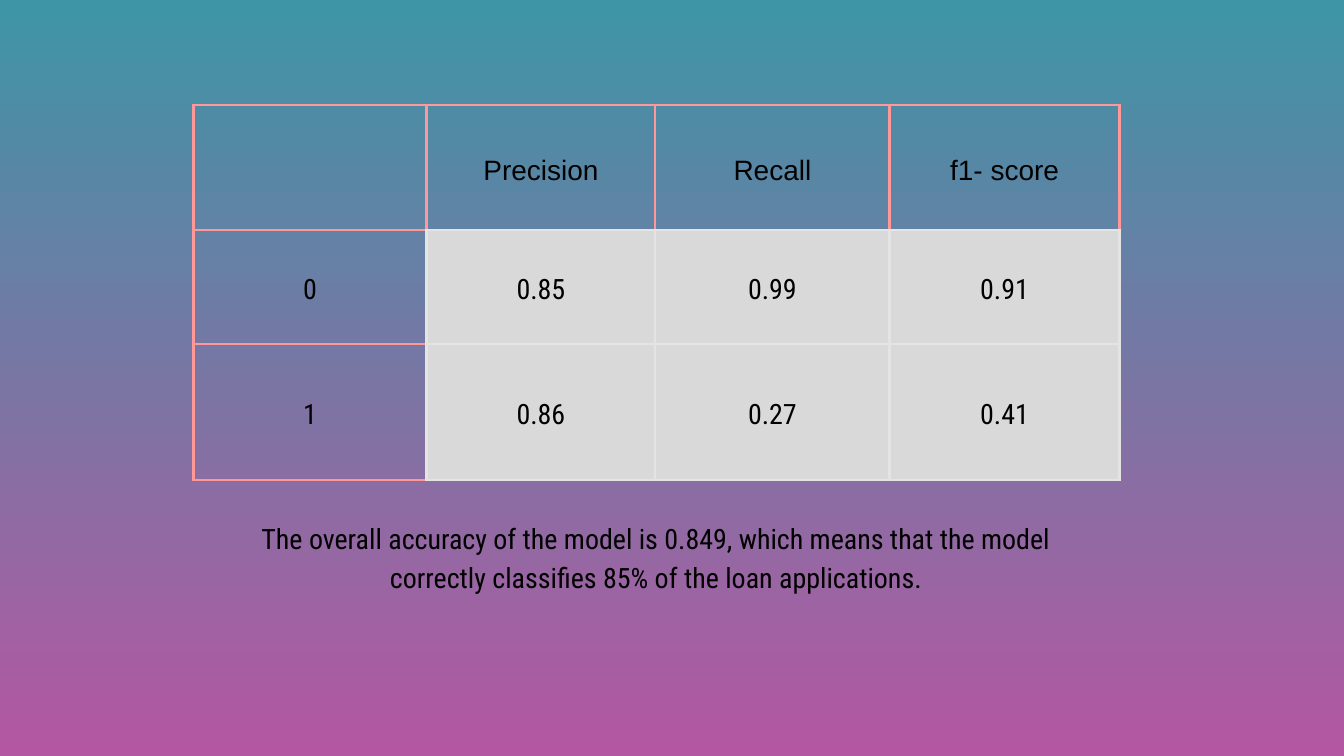
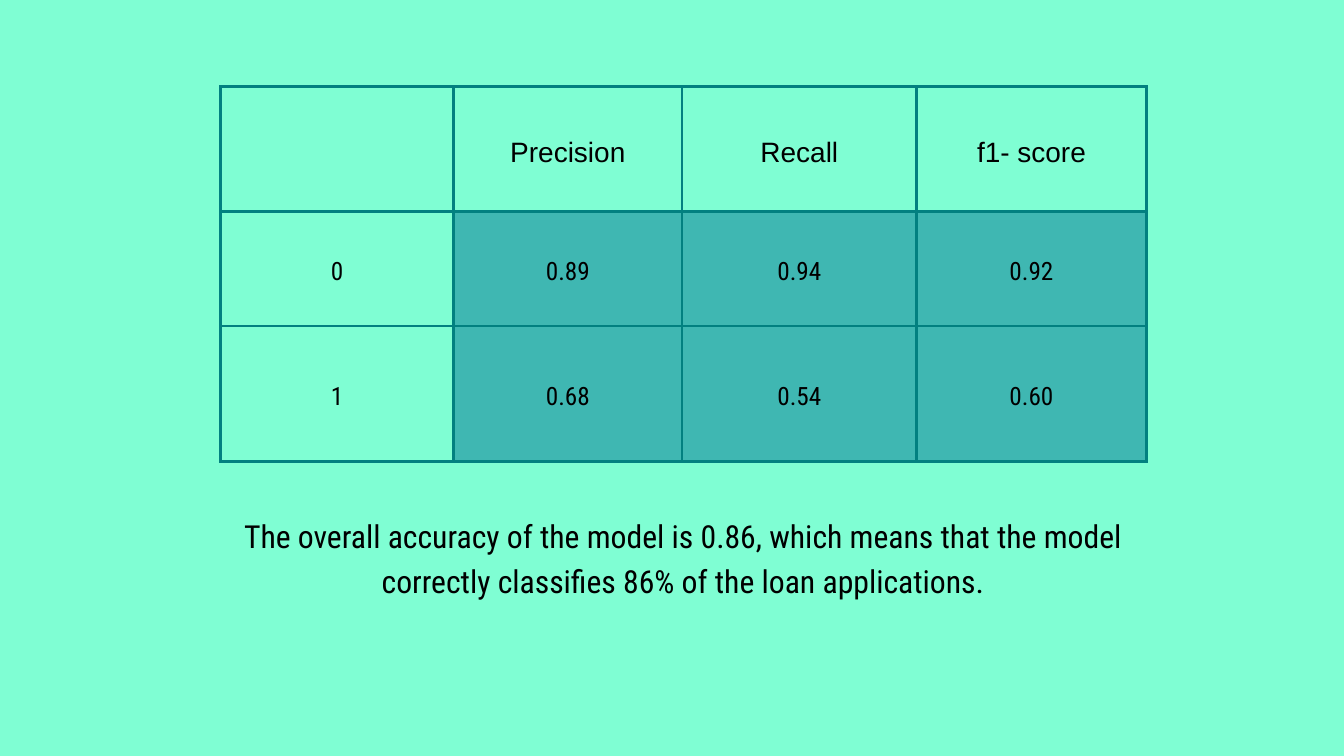
from dataclasses import dataclass

from lxml.etree import SubElement
from pptx import Presentation
from pptx.dml.color import RGBColor
from pptx.enum.text import MSO_ANCHOR as Anchor, MSO_AUTO_SIZE as AutoSize, PP_ALIGN as Align
from pptx.oxml.ns import qn
from pptx.slide import Slide
from pptx.table import _Cell as Cell
from pptx.text.text import TextFrame
from pptx.util import Pt

PX = 9144  # EMU; 100 px to the inch

BLACK = RGBColor(0x00, 0x00, 0x00)
TEAL = RGBColor(0x3E, 0x95, 0xA6)
ORCHID = RGBColor(0xB4, 0x57, 0xA2)
SALMON = RGBColor(0xFF, 0x99, 0x99)
PALE_GREY = RGBColor(0xE4, 0xE4, 0xE4)
GREY = RGBColor(0xD9, 0xD9, 0xD9)
MINT = RGBColor(0x7F, 0xFE, 0xD3)
DARK_TEAL = RGBColor(0x02, 0x80, 0x80)
SEA_GREEN = RGBColor(0x3F, 0xB7, 0xB2)

HEADER_FONT = "Arial"
BODY_FONT = "Roboto Condensed"
HEADER_SIZE = 30
LEADING = 1.4
BORDER_WIDTH = Pt(3)
CELL_MARGIN = 21

HEADERS = ["", "Precision", "Recall", "f1- score"]
COLUMN_WIDTHS = [347, 340, 349, 342]
ROW_HEIGHTS = [186, 170, 202]
# Border tag of each side, with the step in rows and columns to the cell beyond it
SIDES = {"a:lnL": (0, -1), "a:lnR": (0, 1), "a:lnT": (-1, 0), "a:lnB": (1, 0)}


@dataclass(frozen=True)
class Box:
    left: int
    top: int
    width: int
    height: int

    def emu(self) -> list[int]:
        return [side * PX for side in (self.left, self.top, self.width, self.height)]


@dataclass(frozen=True)
class ScoreTable:
    left: int
    top: int
    scores: list[list[str]]
    size: int
    fill: RGBColor
    score_border: RGBColor
    label_border: RGBColor


@dataclass(frozen=True)
class Caption:
    box: Box
    lines: list[str]
    size: int


@dataclass(frozen=True)
class ModelReport:
    background: list[RGBColor]
    table: ScoreTable
    caption: Caption


REPORTS = [
    ModelReport(
        [TEAL, ORCHID],
        ScoreTable(
            288, 156,
            [["0", "0.85", "0.99", "0.91"], ["1", "0.86", "0.27", "0.41"]],
            30, GREY, PALE_GREY, SALMON,
        ),
        Caption(
            Box(368, 767, 1217, 115),
            ["The overall accuracy of the model is 0.849, which means that the model",
             "correctly classifies 85% of the loan applications."],
            30,
        ),
    ),
    ModelReport(
        [MINT],
        ScoreTable(
            328, 129,
            [["0", "0.89", "0.94", "0.92"], ["1", "0.68", "0.54", "0.60"]],
            27, SEA_GREEN, DARK_TEAL, DARK_TEAL,
        ),
        Caption(
            Box(362, 760, 1309, 129),
            ["The overall accuracy of the model is 0.86, which means that the model "
             "correctly classifies 86% of the loan applications."],
            34,
        ),
    ),
]


def write(frame: TextFrame, lines: list[str], *, size: int, font: str = BODY_FONT,
          color: RGBColor = BLACK, align: Align = Align.CENTER, margin: int = 0) -> None:
    frame.word_wrap = True
    frame.margin_left = frame.margin_right = margin * PX
    frame.margin_top = frame.margin_bottom = margin * PX
    for index, line in enumerate(lines):
        paragraph = frame.add_paragraph() if index else frame.paragraphs[0]
        paragraph.alignment = align
        paragraph.line_spacing = Pt(size * LEADING)
        run = paragraph.add_run()
        run.text = line
        run.font.name = font
        run.font.size = Pt(size)
        run.font.color.rgb = color


def paint_background(slide: Slide, colors: list[RGBColor]) -> None:
    """Fill with one colour, or from the top down with two."""
    fill = slide.background.fill
    if len(colors) == 1:
        fill.solid()
        fill.fore_color.rgb = colors[0]
        return
    fill.gradient()
    fill.gradient_angle = 270
    for stop, color in zip(fill.gradient_stops, colors):
        stop.color.rgb = color


def is_score(row: int, column: int) -> bool:
    return 0 < row < len(ROW_HEIGHTS) and 0 < column < len(COLUMN_WIDTHS)


def draw_borders(cell: Cell, row: int, column: int, table: ScoreTable) -> None:
    """Use the score border on every side that touches a score."""
    properties = cell._tc.get_or_add_tcPr()
    for tag, (down, across) in SIDES.items():
        touches_score = is_score(row, column) or is_score(row + down, column + across)
        color = table.score_border if touches_score else table.label_border
        line = SubElement(properties, qn(tag), w=str(BORDER_WIDTH))
        solid = SubElement(line, qn("a:solidFill"))
        SubElement(solid, qn("a:srgbClr"), val=str(color))


def add_score_table(slide: Slide, table: ScoreTable) -> None:
    rows = [HEADERS, *table.scores]
    box = Box(table.left, table.top, sum(COLUMN_WIDTHS), sum(ROW_HEIGHTS))
    grid = slide.shapes.add_table(len(rows), len(HEADERS), *box.emu()).table
    grid.first_row = grid.horz_banding = False
    for column, width in zip(grid.columns, COLUMN_WIDTHS):
        column.width = width * PX
    for row, height in zip(grid.rows, ROW_HEIGHTS):
        row.height = height * PX

    for r, values in enumerate(rows):
        font, size = (BODY_FONT, table.size) if r else (HEADER_FONT, HEADER_SIZE)
        for c, value in enumerate(values):
            cell = grid.cell(r, c)
            draw_borders(cell, r, c, table)
            if is_score(r, c):
                cell.fill.solid()
                cell.fill.fore_color.rgb = table.fill
            else:
                cell.fill.background()
            cell.vertical_anchor = Anchor.MIDDLE
            cell.margin_left = cell.margin_right = CELL_MARGIN * PX
            cell.margin_top = cell.margin_bottom = CELL_MARGIN * PX
            if value:
                write(cell.text_frame, [value], size=size, font=font, margin=CELL_MARGIN)


def add_caption(slide: Slide, caption: Caption) -> None:
    frame = slide.shapes.add_textbox(*caption.box.emu()).text_frame
    write(frame, caption.lines, size=caption.size)
    frame.auto_size = AutoSize.SHAPE_TO_FIT_TEXT


def main() -> None:
    deck = Presentation()
    deck.slide_width, deck.slide_height = 2000 * PX, 1125 * PX
    blank_layout = deck.slide_layouts[6]
    for report in REPORTS:
        slide = deck.slides.add_slide(blank_layout)
        paint_background(slide, report.background)
        add_score_table(slide, report.table)
        add_caption(slide, report.caption)
    deck.save("out.pptx")


if __name__ == "__main__":
    main()
